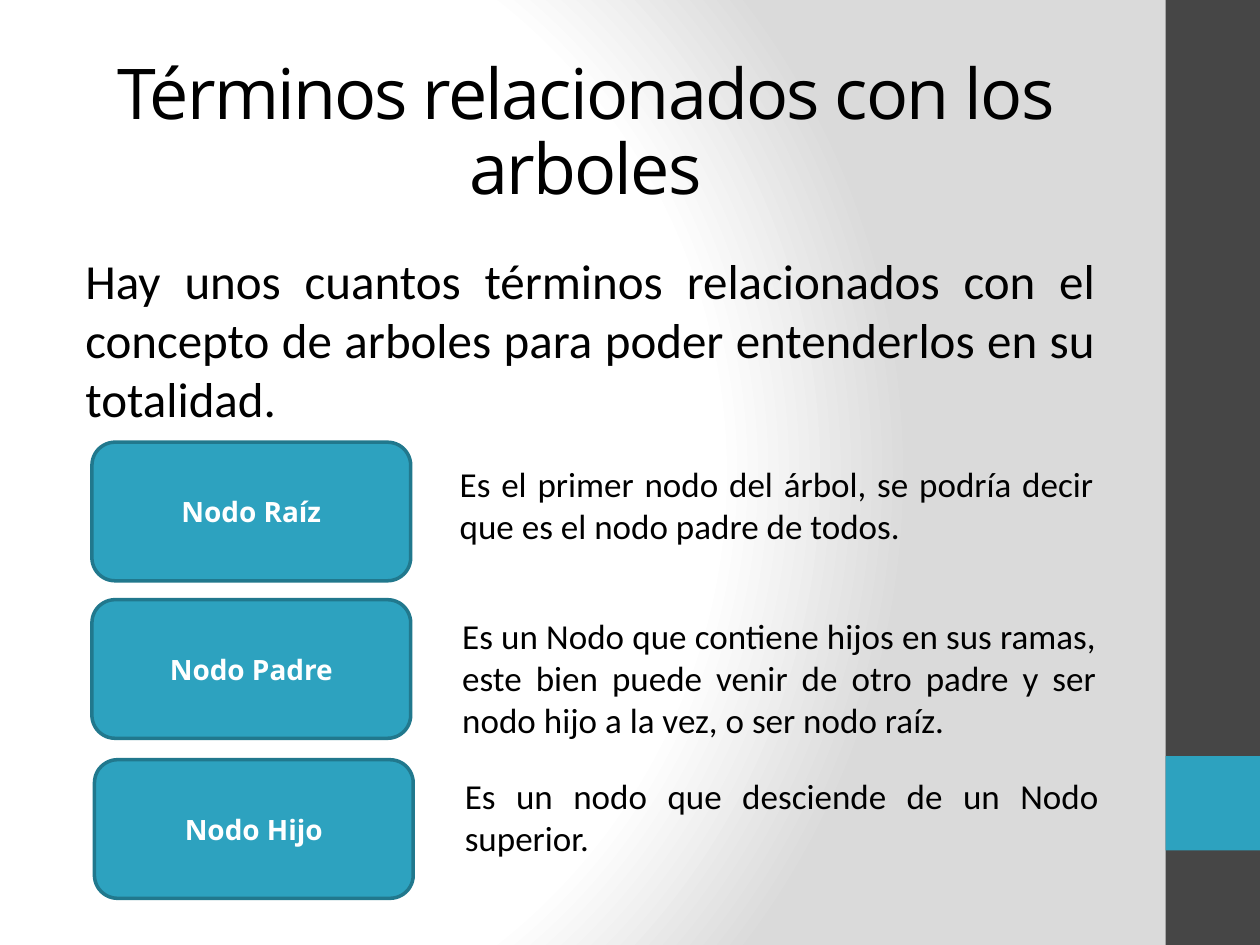
"""Build the slide that introduces the terms used with trees."""
from pptx import Presentation
from pptx.dml.color import RGBColor
from pptx.enum.shapes import MSO_SHAPE
from pptx.enum.text import MSO_ANCHOR, PP_ALIGN
from pptx.oxml import parse_xml
from pptx.oxml.ns import nsdecls, qn
from pptx.util import Inches, Pt

COLORS = {"white": "FFFFFF", "gray": "DADADA", "dark": "464646",
          "teal": "2DA2BF", "border": "21788D", "black": "000000"}
INTRODUCTION = ("Hay unos cuantos términos relacionados con el concepto de arboles "
                "para poder entenderlos en su totalidad.")
TERMS = [
    ("Nodo Raíz", 0.73, 3.51, 3.43, 3.62,
     "Es el primer nodo del árbol, se podría decir que es el nodo padre de todos."),
    ("Nodo Padre", 0.73, 4.76, 3.45, 4.83,
     "Es un Nodo que contiene hijos en sus ramas, este bien puede venir de otro "
     "padre y ser nodo hijo a la vez, o ser nodo raíz."),
    ("Nodo Hijo", 0.75, 6.03, 3.47, 6.1,
     "Es un nodo que desciende de un Nodo superior."),
]


def write(shape, text, font_name, size, color, alignment, bold=False):
    shape.text_frame.word_wrap = True
    shape.text_frame.text = text
    paragraph = shape.text_frame.paragraphs[0]
    paragraph.alignment = alignment
    font = paragraph.runs[0].font
    font.name, font.size, font.bold = font_name, Pt(size), bold
    font.color.rgb = RGBColor.from_string(COLORS[color])
    return paragraph


def add_block(kind, left, top, width, height, color):
    shape = slide.shapes.add_shape(kind, Inches(left), Inches(top), Inches(width), Inches(height))
    shape.shadow.inherit = False
    shape.fill.solid()
    shape.fill.fore_color.rgb = RGBColor.from_string(COLORS[color])
    shape.line.fill.background()
    return shape


presentation = Presentation()
presentation.slide_width, presentation.slide_height = Inches(10), Inches(7.5)
slide = presentation.slides.add_slide(presentation.slide_layouts[5])

slide.background.fill.gradient()
gradient = slide.background.fill._xPr.find(qn("a:gradFill"))
stops = "".join(
    f'<a:gs pos="{position * 1000}"><a:srgbClr val="{COLORS[color]}"/></a:gs>'
    for position, color in [(0, "white"), (75, "white"), (100, "gray")])
gradient.getparent().replace(gradient, parse_xml(
    f'<a:gradFill {nsdecls("a")} rotWithShape="1"><a:gsLst>{stops}</a:gsLst><a:path path="circle">'
    '<a:fillToRect l="20000" t="50000" r="100000" b="50000"/></a:path></a:gradFill>'))

add_block(MSO_SHAPE.RECTANGLE, 9.25, 0, 0.75, 7.5, "dark")
add_block(MSO_SHAPE.RECTANGLE, 9.25, 6, 0.75, 0.75, "teal")

title = slide.shapes.title
title.left, title.top, title.width, title.height = Inches(0.48), Inches(0.44), Inches(8.33), Inches(1.25)
paragraph = write(title, "Términos relacionados con los arboles", "Open Sans", 40, "black", PP_ALIGN.CENTER)
title.text_frame.vertical_anchor = MSO_ANCHOR.MIDDLE
paragraph.line_spacing = 0.9
paragraph.runs[0].font._element.set("spc", "-100")

for label, left, top, _, _, _ in TERMS:
    node = add_block(MSO_SHAPE.ROUNDED_RECTANGLE, left, top, 2.53, 1.1, "teal")
    node.line.color.rgb = RGBColor.from_string(COLORS["border"])
    node.line.width = Pt(2)
    node.text_frame.vertical_anchor = MSO_ANCHOR.MIDDLE
    write(node, label, "Open Sans", 16, "white", PP_ALIGN.CENTER, bold=True)

descriptions = [(INTRODUCTION, 0.46, 1.94, 8.33, 28)]
descriptions += [(text, left, top, 5.35, 20) for _, _, _, left, top, text in TERMS]
for text, left, top, width, size in descriptions:
    box = slide.shapes.add_textbox(Inches(left), Inches(top), Inches(width), Inches(0.98))
    paragraph = write(box, text, "Calibri", size, "black", PP_ALIGN.JUSTIFY)
    paragraph._p.get_or_add_pPr().set("marL", str(Inches(0.12)))

presentation.save("out.pptx")
